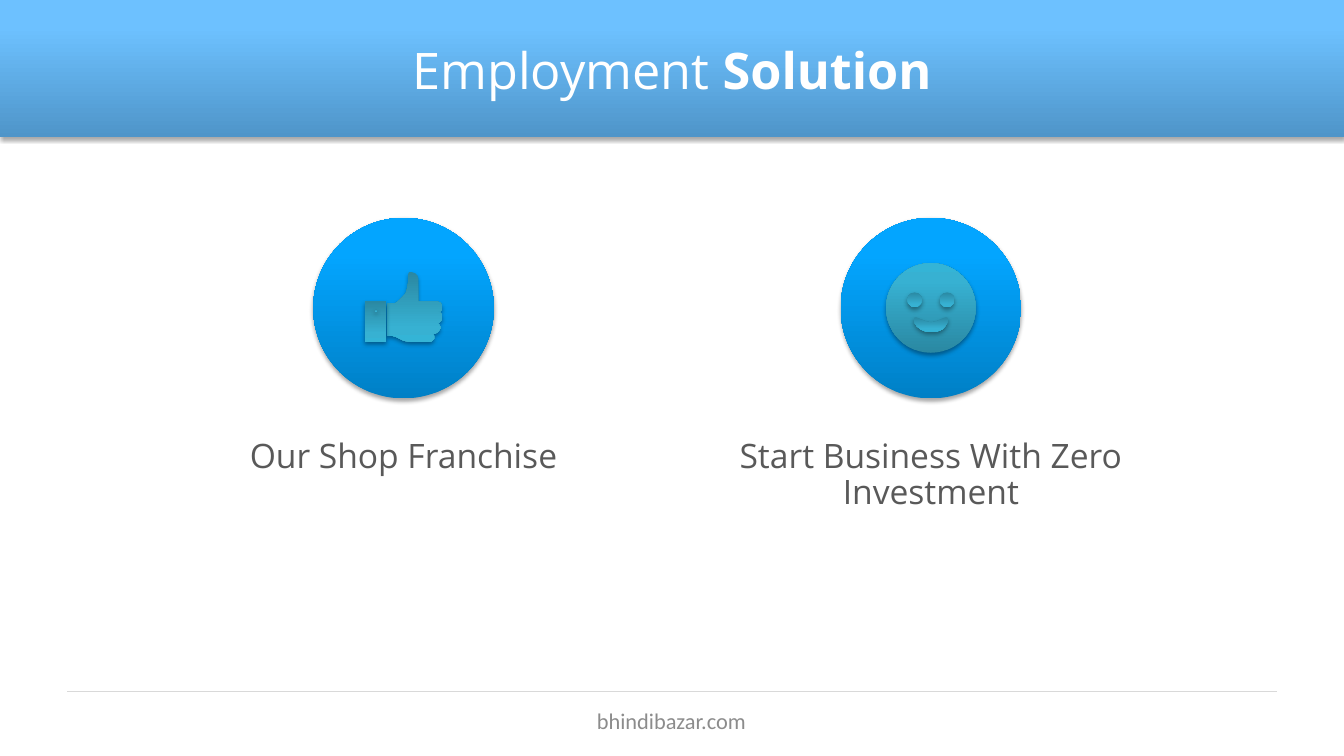
"""Build the Employment Solution slide with two icon columns."""
from pptx import Presentation
from pptx.dml.color import RGBColor
from pptx.enum.shapes import MSO_CONNECTOR, MSO_SHAPE
from pptx.enum.text import MSO_ANCHOR, MSO_AUTO_SIZE, PP_ALIGN
from pptx.oxml import parse_xml
from pptx.oxml.ns import nsdecls, qn
from pptx.util import Cm, Pt

TITLE = [("Employment ", False), ("Solution", True)]
COLUMNS = [("Our Shop Franchise", 10.17, 1.27),
           ("Start Business With Zero Investment", 23.46, 2.31)]
FOOTER = "bhindibazar.com"

COLORS = {"white": "FFFFFF", "label": "595959", "footer": "8C8C8C",
          "rule": "D9D9D9", "shadow": "000000"}
GRADIENTS = {"bar": ("4F95C9", "6DC1FF", "6FC1FF"),
             "disc": ("0080C6", "03A5FF", "04A5FF"),
             "icon": ("2A88A2", "37B1D2", "34B4D6")}
STOPS = (0, 80, 100)

W, H = 33.87, 19.05
MARGIN = 1.7
DISC_TOP, DISC_SIZE = 5.49, 4.55
LABEL_TOP, LABEL_W = 10.95, 10.69
FACE_SIZE, EYE_SIZE, EYE_OFFSET = 2.26, 0.37, 0.41
UNIT = Cm(2.54) / 100

HAND = [(23, 69), (43, 69), (45, 68), (47, 66), (47, 63), (45, 61), (43, 61),
        (48, 61), (51, 59), (53, 56), (53, 54), (52, 52), (50, 50), (47, 50),
        (52, 50), (54, 48), (55, 46), (55, 42), (53, 40), (50, 39), (53, 39),
        (55, 37), (55, 33), (53, 30), (50, 29), (31, 29), (31, 6), (30, 3),
        (28, 1), (25, 0), (22, 0), (21, 2), (21, 10), (20, 16), (19, 20),
        (16, 24), (12, 28), (8, 31), (0, 31), (0, 63), (5, 63), (9, 64),
        (13, 66), (17, 68)]
SMILE = [(17, 14), (23, 14), (28, 12), (31, 9), (33, 6), (34, 3), (34, 1),
         (33, 0), (31, 0), (27, 2), (22, 4), (17, 5), (12, 4), (7, 2), (3, 0),
         (1, 0), (0, 1), (0, 3), (1, 6), (3, 9), (7, 12), (12, 14)]


def style(shape, gradient, angle=270):
    """Give a shape its gradient and soft shadow, without an outline."""
    shape.line.fill.background()
    sp_pr = shape._element.spPr
    stops = "".join(f'<a:gs pos="{pos * 1000}"><a:srgbClr val="{c}"/></a:gs>'
                    for pos, c in zip(STOPS, GRADIENTS[gradient]))
    sp_pr.find(qn("a:ln")).addprevious(parse_xml(
        f'<a:gradFill {nsdecls("a")} rotWithShape="1"><a:gsLst>{stops}</a:gsLst>'
        f'<a:lin ang="{angle * 60000}" scaled="0"/></a:gradFill>'))
    sp_pr.append(parse_xml(
        f'<a:effectLst {nsdecls("a")}><a:outerShdw blurRad="40000" dist="23000" '
        f'dir="5400000" rotWithShape="0"><a:srgbClr val="{COLORS["shadow"]}">'
        '<a:alpha val="35000"/></a:srgbClr></a:outerShdw></a:effectLst>'))


def add_preset(shapes, kind, x, y, w, h, gradient, angle=270):
    """Add a styled preset shape."""
    style(shapes.add_shape(kind, Cm(x), Cm(y), Cm(w), Cm(h)), gradient, angle)


def add_outline(shapes, points, x, y):
    """Add a closed icon outline with its corner at x, y."""
    builder = shapes.build_freeform(*points[0], scale=UNIT)
    builder.add_line_segments(points[1:], close=True)
    left, top = min(p[0] for p in points), min(p[1] for p in points)
    shape = builder.convert_to_shape(Cm(x) - int(left * UNIT), Cm(y) - int(top * UNIT))
    style(shape, "icon", 90)


def add_text(shapes, runs, x, y, w, h, *, size, color, font="Open Sans",
             anchor=MSO_ANCHOR.MIDDLE, inset=(0.33, 0.18), spacing=None, grow=False):
    """Add a centred text box made of (text, bold) runs."""
    tf = shapes.add_textbox(Cm(x), Cm(y), Cm(w), Cm(h)).text_frame
    tf.word_wrap = True
    tf.auto_size = MSO_AUTO_SIZE.SHAPE_TO_FIT_TEXT if grow else MSO_AUTO_SIZE.NONE
    tf.vertical_anchor = anchor
    tf.margin_left = tf.margin_right = Cm(inset[0])
    tf.margin_top = tf.margin_bottom = Cm(inset[1])
    p = tf.paragraphs[0]
    p.alignment = PP_ALIGN.CENTER
    if spacing:
        p.line_spacing = spacing
    for text, bold in runs:
        r = p.add_run()
        r.text = text
        r.font.name, r.font.size, r.font.bold = font, Pt(size), bold
        r.font.color.rgb = RGBColor.from_string(COLORS[color])


def add_thumb(shapes):
    """Draw the thumbs-up icon: hand, cuff and button."""
    icon = shapes.add_group_shape().shapes
    add_outline(icon, HAND, 9.75, 6.86)
    add_preset(icon, MSO_SHAPE.RECTANGLE, 9.19, 7.59, 0.55, 1.02, "icon", 90)
    add_preset(icon, MSO_SHAPE.OVAL, 9.44, 7.79, 0.07, 0.07, "icon", 90)


def add_smiley(shapes, center):
    """Draw the smiling icon: face, mouth and two eyes."""
    icon = shapes.add_group_shape().shapes
    add_preset(icon, MSO_SHAPE.OVAL, center - FACE_SIZE / 2, 6.63,
               FACE_SIZE, FACE_SIZE, "icon")
    add_outline(icon, SMILE, center - 0.43, 8)
    for side in (1, -1):
        add_preset(icon, MSO_SHAPE.OVAL, center + side * EYE_OFFSET - EYE_SIZE / 2,
                   7.37, EYE_SIZE, EYE_SIZE, "icon", 90)


def main():
    """Assemble and save the slide."""
    prs = Presentation()
    prs.slide_width, prs.slide_height = Cm(W), Cm(H)
    s = prs.slides.add_slide(prs.slide_layouts[6]).shapes

    rule = s.add_connector(MSO_CONNECTOR.STRAIGHT, Cm(MARGIN), Cm(17.42),
                           Cm(W - MARGIN), Cm(17.42))
    rule.line.color.rgb = RGBColor.from_string(COLORS["rule"])
    rule.line.width = Pt(0.75)
    rule._element.spPr.append(parse_xml(f'<a:effectLst {nsdecls("a")}/>'))

    add_preset(s, MSO_SHAPE.RECTANGLE, 0, 0, W, 3.45, "bar")
    add_text(s, TITLE, MARGIN, 0.76, W - 2 * MARGIN, 1.98, size=36, color="white")

    for label, center, height in COLUMNS:
        add_preset(s, MSO_SHAPE.OVAL, center - DISC_SIZE / 2, DISC_TOP,
                   DISC_SIZE, DISC_SIZE, "disc")
        add_text(s, [(label, False)], center - LABEL_W / 2, LABEL_TOP, LABEL_W, height,
                 size=24, color="label", anchor=MSO_ANCHOR.TOP, inset=(0.25, 0.13),
                 spacing=0.9, grow=True)
    add_thumb(s)
    add_smiley(s, COLUMNS[1][1])

    add_text(s, [(FOOTER, False)], 11.56, 17.65, 10.72, 1.02, size=16,
             color="footer", font="Calibri")
    prs.save("out.pptx")


if __name__ == "__main__":
    main()
